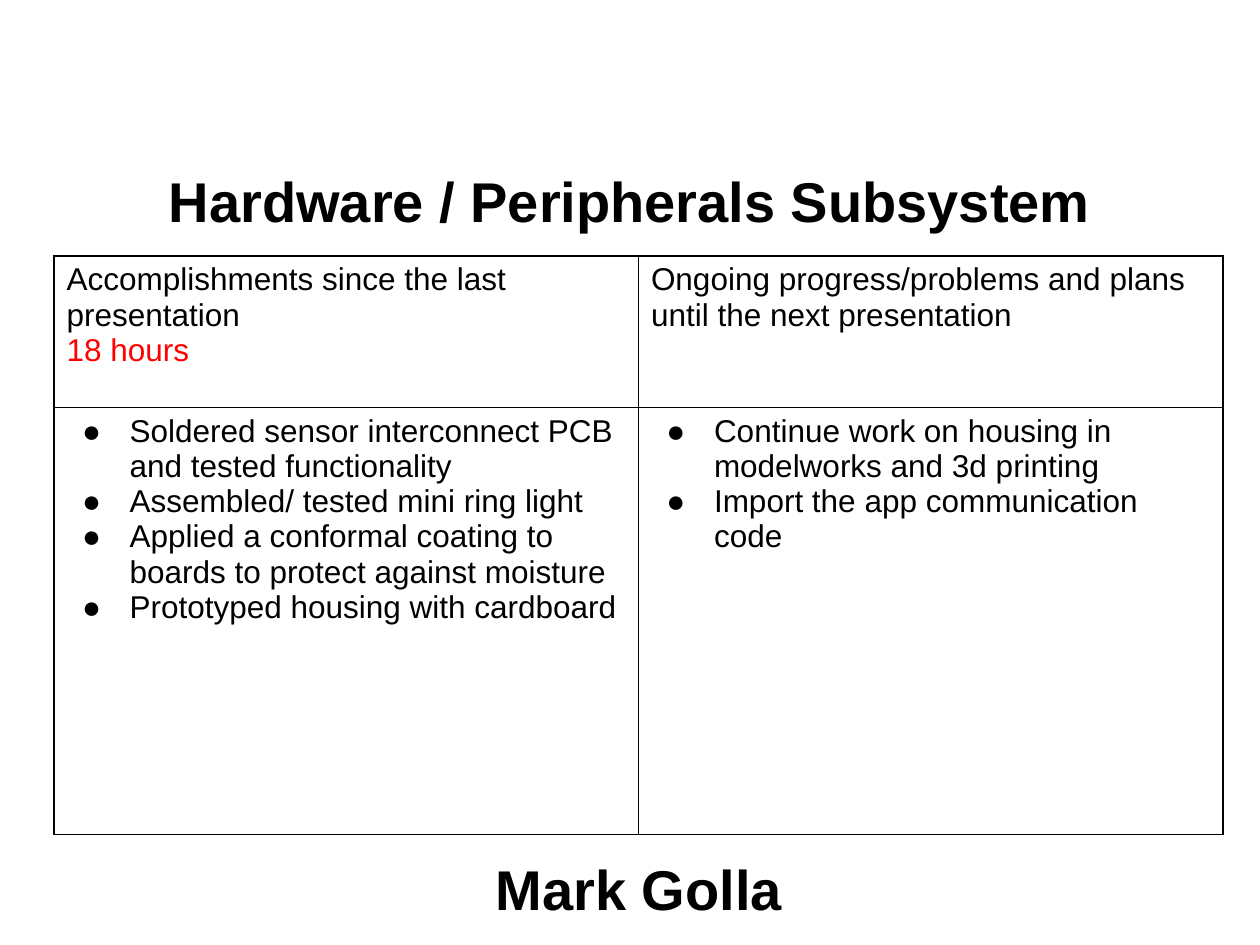
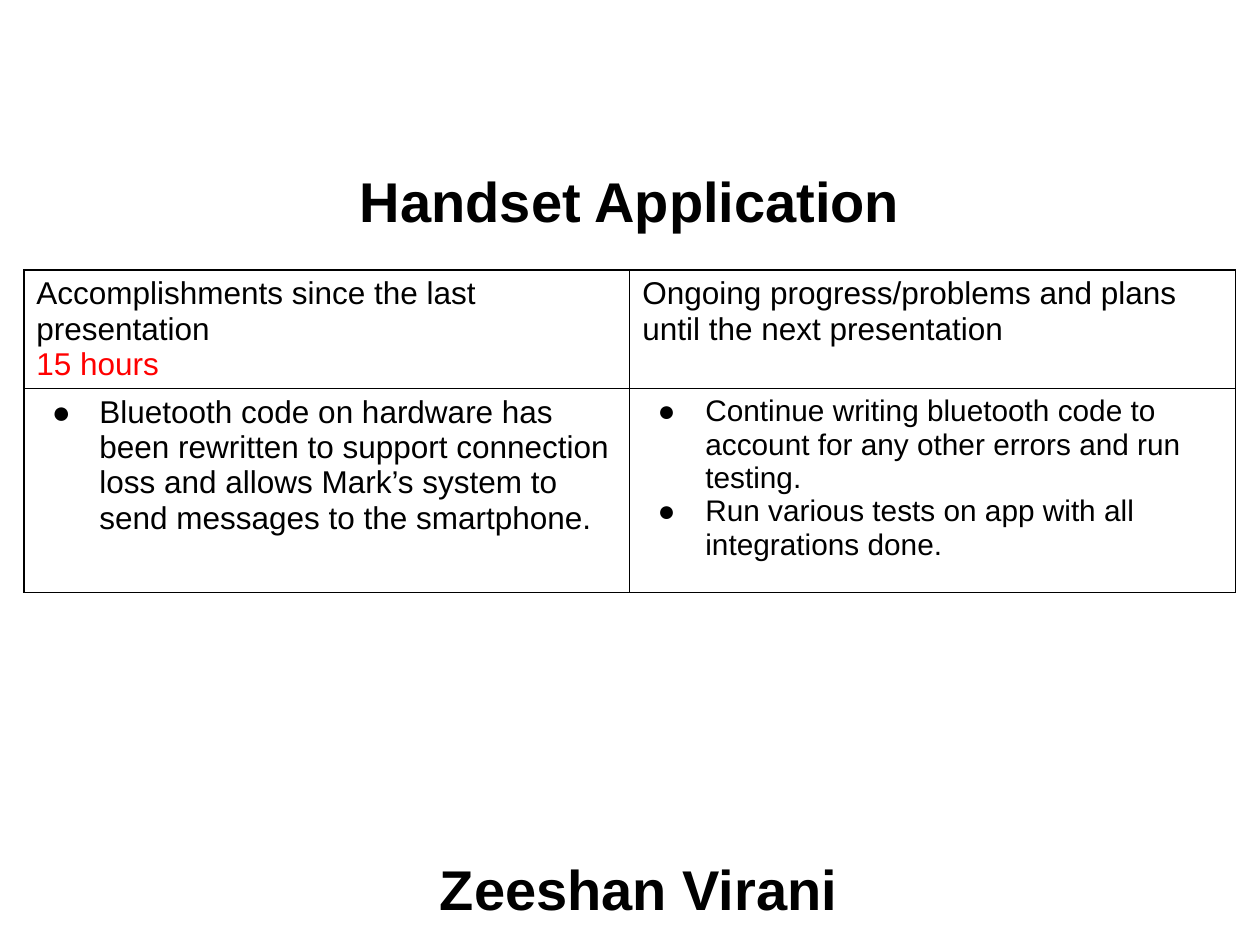
from lxml import etree
from pptx import Presentation
from pptx.dml.color import RGBColor
from pptx.enum import text
from pptx.oxml import ns
from pptx.util import Cm, Pt

FONT = "Arial"
BLACK, RED = "000000", "FF0000"
TITLE_BOX = (1.27, 2.92, 22.86, 2.24)
PRESENTER_BOX = (1.45, 16.79, 22.86, 2.24)
HEADING = dict(size=32, bold=True, align=text.PP_ALIGN.CENTER)
DONE_HEADER = "Accomplishments since the last presentation"
PLANS_HEADER = "Ongoing progress/problems and plans until the next presentation"

REPORTS = [
    dict(
        subsystem="Hardware / Peripherals Subsystem",
        presenter="Mark Golla",
        hours="18 hours",
        done=[
            "Soldered sensor interconnect PCB and tested functionality",
            "Assembled/ tested mini ring light",
            "Applied a conformal coating to boards to protect against moisture",
            "Prototyped housing with cardboard",
        ],
        plans=[
            "Continue work on housing in modelworks and 3d printing",
            "Import the app communication code",
        ],
        box=(1.09, 5.16, 23.56),
        row_heights=(3.05, 8.61),
    ),
    dict(
        subsystem="Handset Application",
        presenter="Zeeshan Virani",
        hours="15 hours",
        done=[
            "Bluetooth code on hardware has been rewritten to support connection "
            "loss and allows Mark’s system to send messages to the smartphone.",
        ],
        plans=[
            "Continue writing bluetooth code to account for any other errors and run testing.",
            "Run various tests on app with all integrations done.",
        ],
        plans_size=17,
        box=(0.48, 5.44, 24.43),
        row_heights=(2.39, 4.11),
    ),
]


def color(hex_code):
    return RGBColor.from_string(hex_code)


def add_child(parent, tag, **attributes):
    return etree.SubElement(parent, ns.qn(tag), **attributes)


def set_bullet(paragraph, hex_code):
    """Give the paragraph a round bullet with a hanging indent."""
    props = paragraph._p.get_or_add_pPr()
    props.set("marL", str(Cm(1.27)))
    props.set("indent", str(Cm(-0.96)))
    bullet_color = add_child(props, "a:buClr")
    add_child(bullet_color, "a:srgbClr", val=hex_code)
    add_child(props, "a:buFont", typeface=FONT)
    add_child(props, "a:buChar", char="●")


def write(frame, wording, size=18, hex_code=BLACK, bold=False, align=None, bullet=False):
    """Write one paragraph, using the first one while it is still empty."""
    last = frame.paragraphs[-1]
    paragraph = frame.add_paragraph() if last.runs else last
    paragraph.alignment = align
    if bullet:
        set_bullet(paragraph, hex_code)
    run = paragraph.add_run()
    run.text = wording
    run.font.name = FONT
    run.font.size = Pt(size)
    run.font.bold = bold
    run.font.color.rgb = color(hex_code)


def write_heading(shape, wording):
    frame = shape.text_frame
    frame.word_wrap = True
    frame.auto_size = text.MSO_AUTO_SIZE.NONE
    frame.vertical_anchor = text.MSO_ANCHOR.MIDDLE
    write(frame, wording, **HEADING)


def add_title(slide, wording, box):
    title = slide.shapes.title
    title.left, title.top, title.width, title.height = map(Cm, box)
    write_heading(title, wording)


def add_presenter(slide, wording, box):
    write_heading(slide.shapes.add_textbox(*map(Cm, box)), wording)


def outline_cell(cell):
    cell.fill.background()
    props = cell._tc.get_or_add_tcPr()
    for position, side in enumerate(("a:lnL", "a:lnR", "a:lnT", "a:lnB")):
        border = etree.Element(ns.qn(side), w=str(Pt(1)))
        fill = add_child(border, "a:solidFill")
        add_child(fill, "a:srgbClr", val=BLACK)
        props.insert(position, border)


def add_progress_table(slide, report):
    left, top, width = report["box"]
    heights = report["row_heights"]
    table = slide.shapes.add_table(
        2, 2, Cm(left), Cm(top), Cm(width), Cm(sum(heights))
    ).table
    table.first_row = table.horz_banding = False
    for row, height in zip(table.rows, heights):
        row.height = Cm(height)
    for cell in table.iter_cells():
        outline_cell(cell)

    done_header, plans_header, done, plans = (c.text_frame for c in table.iter_cells())
    write(done_header, DONE_HEADER)
    write(done_header, report["hours"], hex_code=RED)
    write(plans_header, PLANS_HEADER)
    for item in report["done"]:
        write(done, item, bullet=True)
    for item in report["plans"]:
        write(plans, item, size=report.get("plans_size", 18), bullet=True)


def add_report_slide(deck, report):
    slide = deck.slides.add_slide(deck.slide_layouts.get_by_name("Title Only"))
    add_title(slide, report["subsystem"], TITLE_BOX)
    add_progress_table(slide, report)
    add_presenter(slide, report["presenter"], PRESENTER_BOX)


def main():
    deck = Presentation()
    deck.slide_width, deck.slide_height = Cm(25.4), Cm(19.05)
    for report in REPORTS:
        add_report_slide(deck, report)
    deck.save("out.pptx")


if __name__ == "__main__":
    main()
